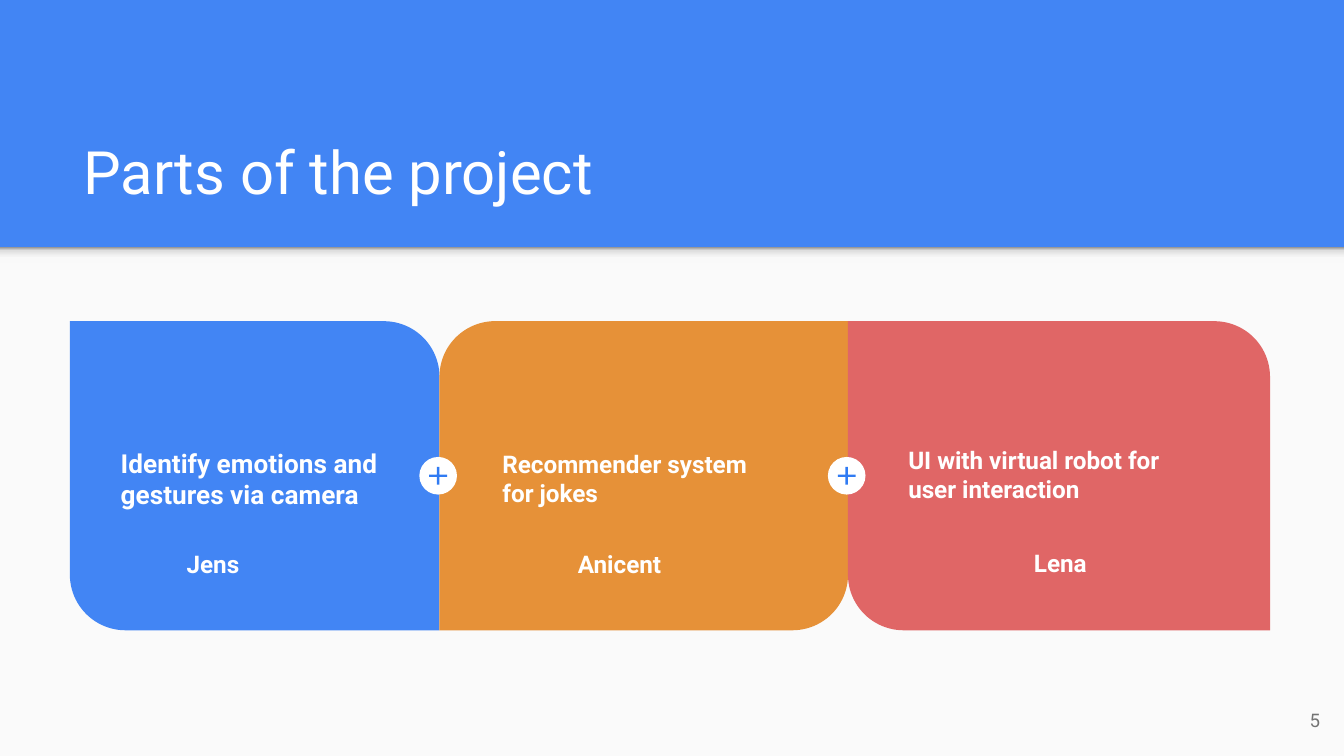
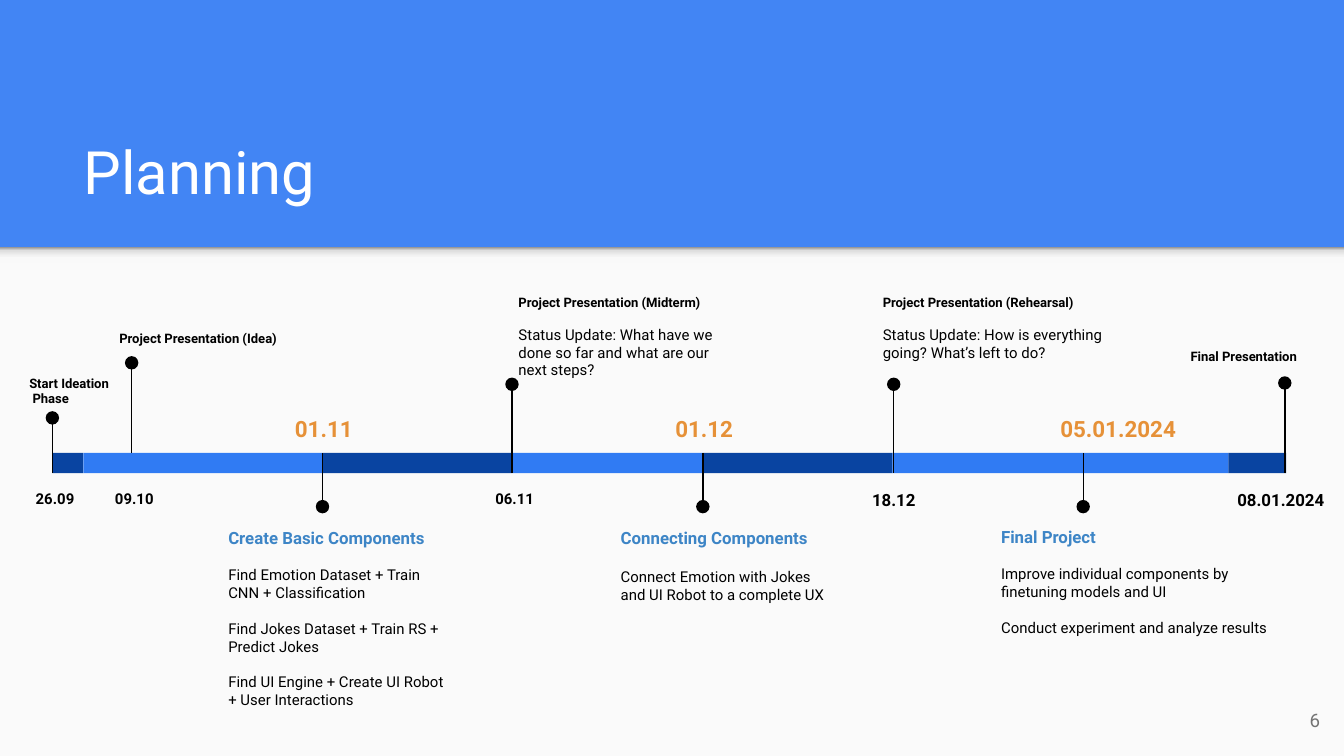
from dataclasses import dataclass
from itertools import cycle, pairwise

from lxml.etree import SubElement
from pptx import Presentation
from pptx.dml.color import RGBColor
from pptx.enum.shapes import MSO_CONNECTOR, MSO_SHAPE as Preset
from pptx.enum.text import MSO_ANCHOR as Anchor, MSO_AUTO_SIZE, PP_ALIGN as Align
from pptx.oxml.ns import qn
from pptx.presentation import Presentation as Deck
from pptx.shapes.autoshape import Shape
from pptx.slide import Slide
from pptx.text.text import TextFrame
from pptx.util import Pt

PX = 9144  # 100 px to the inch
FONT = "Roboto"
COLORS = {
    "band": "4285F4",
    "page": "FAFAFA",
    "white": "FFFFFF",
    "black": "000000",
    "number": "737373",
    "orange": "E69138",
    "red": "E06666",
    "bright": "307BF3",
    "navy": "0944A1",
    "heading": "3D85C6",
}
BAND_SHADOW = ((0, "F9F9F9"), (36, "F9F9F9"), (80, "DEDEDE"), (100, "999999"))

WIDTH = 1000
BAND_BOTTOM, PAGE_HEIGHT = 184, 379
CARD_TOP, CARD_HEIGHT, CARD_ROUNDING = 239, 230, 0.18
NAME_HEIGHT = 27
BADGE_Y, BADGE_SIZE, PLUS_SIZE = 354, 28, 18
BAR_TOP, BAR_HEIGHT = 337, 15
BAR_BOTTOM = BAR_TOP + BAR_HEIGHT
DOT_SIZE, LOWER_DOT_Y = 10, 377


@dataclass(frozen=True)
class Box:
    left: int
    top: int
    width: int
    height: int

    def emu(self) -> tuple[int, ...]:
        return tuple(PX * n for n in (self.left, self.top, self.width, self.height))


@dataclass(frozen=True)
class Line:
    """One paragraph with its look."""
    text: str
    size: float
    color: str = "black"
    bold: bool = False
    before: float = 0
    align: Align = Align.LEFT
    spacing: float = 1.0


@dataclass(frozen=True)
class Card:
    left: int
    width: int
    color: str
    flipped: bool
    task: str
    task_size: int
    task_box: Box
    person: str
    person_top: int
    right_inset: int


@dataclass(frozen=True)
class Milestone:
    """A dated event with its pin above the bar."""
    x: int
    dot_y: int
    date: str
    date_size: int
    date_left: int
    date_width: int
    label: str
    label_box: Box
    question: str = ""
    pin_end: int = BAR_BOTTOM


@dataclass(frozen=True)
class Phase:
    """A work phase with its pin below the bar."""
    x: int
    date: str
    date_width: int
    heading: str
    box: Box
    gap: float
    steps: tuple[str, ...]


CARDS = (
    Card(52, 275, "band", False, "Identify emotions and gestures via camera", 14,
         Box(80, 323, 219, 63), "Jens", 399, 72),
    Card(327, 304, "orange", True, "Recommender system for jokes", 13,
         Box(364, 324, 227, 67), "Anicent", 399, 46),
    Card(631, 314, "red", False, "UI with virtual robot for user interaction", 13,
         Box(666, 321, 234, 67), "Lena", 398, 8),
)

BAR_STOPS = (39, 62, 240, 381, 523, 664, 914, 957)

MILESTONES = (
    Milestone(39, 311, "26.09", 8, 3, 76, "Start Ideation\v Phase", Box(12, 269, 184, 39)),
    Milestone(98, 270, "09.10", 8, 62, 76, "Project Presentation (Idea)",
              Box(79, 236, 184, 31), pin_end=BAR_TOP),
    Milestone(381, 286, "06.11", 8, 345, 76, "Project Presentation (Midterm)",
              Box(376, 209, 184, 84),
              "Status Update: What have we done so far and what are our next steps?"),
    Milestone(665, 286, "18.12", 9, 624, 82, "Project Presentation (Rehearsal)",
              Box(647, 209, 184, 67),
              "Status Update: How is everything going? What’s left to do?"),
    Milestone(956, 285, "08.01.2024", 9, 908, 90, "Final Presentation",
              Box(876, 249, 102, 34)),
)

PHASES = (
    Phase(240, "01.11", 82, "Create Basic Components", Box(160, 383, 185, 138), 9.4,
          ("Find Emotion Dataset + Train CNN + Classification",
           "Find Jokes Dataset + Train RS + Predict Jokes",
           "Find UI Engine + Create UI Robot + User Interactions")),
    Phase(523, "01.12", 82, "Connecting Components", Box(452, 383, 176, 103), 10.5,
          ("Connect Emotion with Jokes and UI Robot to a complete UX",)),
    Phase(806, "05.01.2024", 132, "Final Project", Box(735, 382, 221, 104), 9.6,
          ("Improve individual components by finetuning models and UI",
           "Conduct experiment and analyze results")),
)


def rgb(name: str) -> RGBColor:
    return RGBColor.from_string(COLORS[name])


def write(frame: TextFrame, lines: list[Line], anchor: Anchor = Anchor.TOP,
          right_inset: int = 10) -> None:
    frame.word_wrap = True
    frame.auto_size = MSO_AUTO_SIZE.NONE
    frame.vertical_anchor = anchor
    frame.margin_left = frame.margin_top = frame.margin_bottom = 10 * PX
    frame.margin_right = right_inset * PX
    for index, line in enumerate(lines):
        paragraph = frame.add_paragraph() if index else frame.paragraphs[0]
        paragraph.text = line.text
        paragraph.alignment = line.align
        paragraph.line_spacing = line.spacing
        paragraph.space_before = Pt(line.before)
        font = paragraph.font
        font.name, font.size, font.bold = FONT, Pt(line.size), line.bold
        font.color.rgb = rgb(line.color)


def add_text(slide: Slide, box: Box, lines: list[Line], anchor: Anchor = Anchor.TOP,
             right_inset: int = 10) -> None:
    write(slide.shapes.add_textbox(*box.emu()).text_frame, lines, anchor, right_inset)


def add_filled(slide: Slide, preset: Preset, box: Box, color: str) -> Shape:
    shape = slide.shapes.add_shape(preset, *box.emu())
    shape.shadow.inherit = False
    shape.fill.solid()
    shape.fill.fore_color.rgb = rgb(color)
    shape.line.fill.background()
    return shape


def add_centered(slide: Slide, preset: Preset, x: int, y: int, size: int,
                 color: str) -> Shape:
    box = Box(x - size // 2, y - size // 2, size, size)
    return add_filled(slide, preset, box, color)


def add_pin(slide: Slide, x: int, dot_y: int, end_y: int) -> None:
    connector = slide.shapes.add_connector(
        MSO_CONNECTOR.STRAIGHT, x * PX, dot_y * PX, x * PX, end_y * PX)
    connector.line.color.rgb = rgb("black")
    connector.line.width = Pt(0.75)
    SubElement(connector.element.spPr, qn("a:effectLst"))
    add_centered(slide, Preset.OVAL, x, dot_y, DOT_SIZE, "black")


def add_band_shadow(slide: Slide) -> None:
    shadow = add_filled(slide, Preset.RECTANGLE, Box(0, BAND_BOTTOM, WIDTH, 12), "page")
    shadow.fill.gradient()
    shadow.fill.gradient_angle = 90
    stops = shadow.element.spPr.find(".//" + qn("a:gsLst"))
    stops.clear()
    for percent, color in BAND_SHADOW:
        stop = SubElement(stops, qn("a:gs"), pos=str(percent * 1000))
        SubElement(stop, qn("a:srgbClr"), val=color)


def add_page(presentation: Deck, title: str, number: int) -> Slide:
    """Add a slide with the blue band, its title and the page number."""
    slide = presentation.slides.add_slide(presentation.slide_layouts[5])
    page = Box(0, BAND_BOTTOM, WIDTH, PAGE_HEIGHT)
    add_filled(slide, Preset.RECTANGLE, page, "page")
    add_band_shadow(slide)
    heading = slide.shapes.title
    heading.left, heading.top, heading.width, heading.height = Box(52, 80, 899, 84).emu()
    write(heading.text_frame, [Line(title, 32, "white")], Anchor.BOTTOM)
    add_text(slide, Box(932, 514, 60, 43),
             [Line(str(number), 10, "number", align=Align.RIGHT)], Anchor.MIDDLE)
    return slide


def add_card(slide: Slide, card: Card) -> None:
    box = Box(card.left, CARD_TOP, card.width, CARD_HEIGHT)
    shape = add_filled(slide, Preset.ROUND_2_DIAG_RECTANGLE, box, card.color)
    shape.adjustments[0] = CARD_ROUNDING if card.flipped else 0
    shape.adjustments[1] = 0 if card.flipped else CARD_ROUNDING
    add_text(slide, card.task_box, [Line(card.task, card.task_size, "white", True)])
    add_text(slide, Box(card.left, card.person_top, card.width, NAME_HEIGHT),
             [Line(card.person, 13, "white", True, align=Align.CENTER)],
             right_inset=card.right_inset)


def add_plus_badge(slide: Slide, x: int) -> None:
    add_centered(slide, Preset.OVAL, x, BADGE_Y, BADGE_SIZE, "white")
    plus = add_centered(slide, Preset.MATH_PLUS, x, BADGE_Y, PLUS_SIZE, "bright")
    plus.adjustments[0] = 0.1


def add_date(slide: Slide, box: Box, text: str, size: int, color: str) -> None:
    add_text(slide, box, [Line(text, size, color, True, align=Align.CENTER, spacing=1.15)])


def add_milestone(slide: Slide, milestone: Milestone) -> None:
    add_pin(slide, milestone.x, milestone.dot_y, milestone.pin_end)
    add_date(slide, Box(milestone.date_left, BAR_BOTTOM, milestone.date_width, 41),
             milestone.date, milestone.date_size, "black")
    lines = [Line(milestone.label, 7, bold=True)]
    if milestone.question:
        lines.append(Line(milestone.question, 8, before=8.2))
    add_text(slide, milestone.label_box, lines)


def add_phase(slide: Slide, phase: Phase) -> None:
    add_pin(slide, phase.x, LOWER_DOT_Y, BAR_TOP)
    add_date(slide, Box(phase.x - 40, 296, phase.date_width, 41), phase.date, 12, "orange")
    steps = [Line(step, 8, before=phase.gap) for step in phase.steps]
    add_text(slide, phase.box, [Line(phase.heading, 9, "heading", True), *steps])


def build_parts(presentation: Deck) -> None:
    slide = add_page(presentation, "Parts of the project", 5)
    for card in CARDS:
        add_card(slide, card)
    for card in CARDS[1:]:
        add_plus_badge(slide, card.left - 1)


def build_planning(presentation: Deck) -> None:
    slide = add_page(presentation, "Planning", 6)
    for (start, end), color in zip(pairwise(BAR_STOPS), cycle(("navy", "bright"))):
        add_filled(slide, Preset.RECTANGLE,
                   Box(start, BAR_TOP, end - start, BAR_HEIGHT), color)
    for milestone in MILESTONES:
        add_milestone(slide, milestone)
    for phase in PHASES:
        add_phase(slide, phase)


def main() -> None:
    presentation = Presentation()
    presentation.slide_width = WIDTH * PX
    presentation.slide_height = WIDTH * PX * 9 // 16
    background = presentation.slide_master.background.fill
    background.solid()
    background.fore_color.rgb = rgb("band")
    build_parts(presentation)
    build_planning(presentation)
    presentation.save("out.pptx")


if __name__ == "__main__":
    main()
